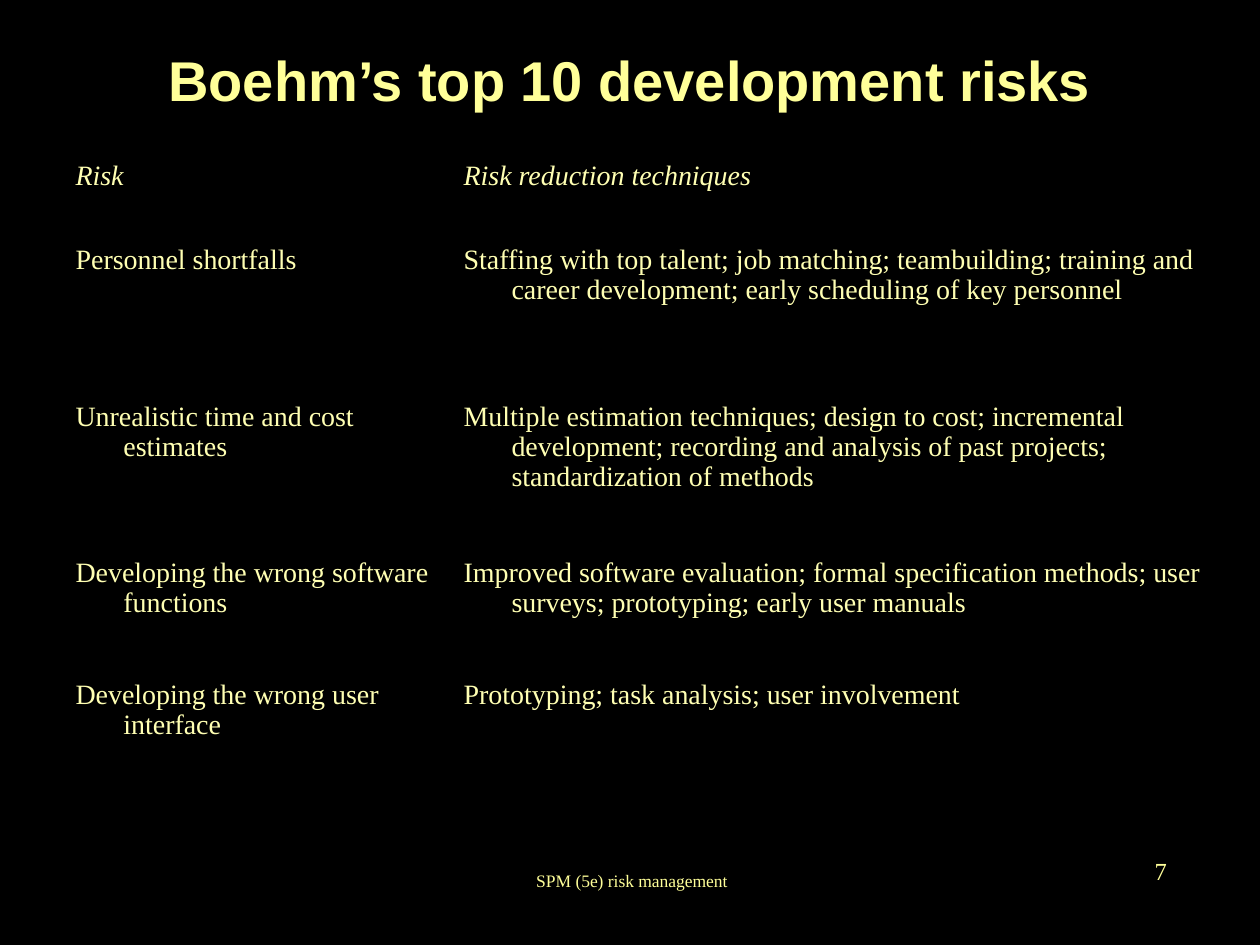
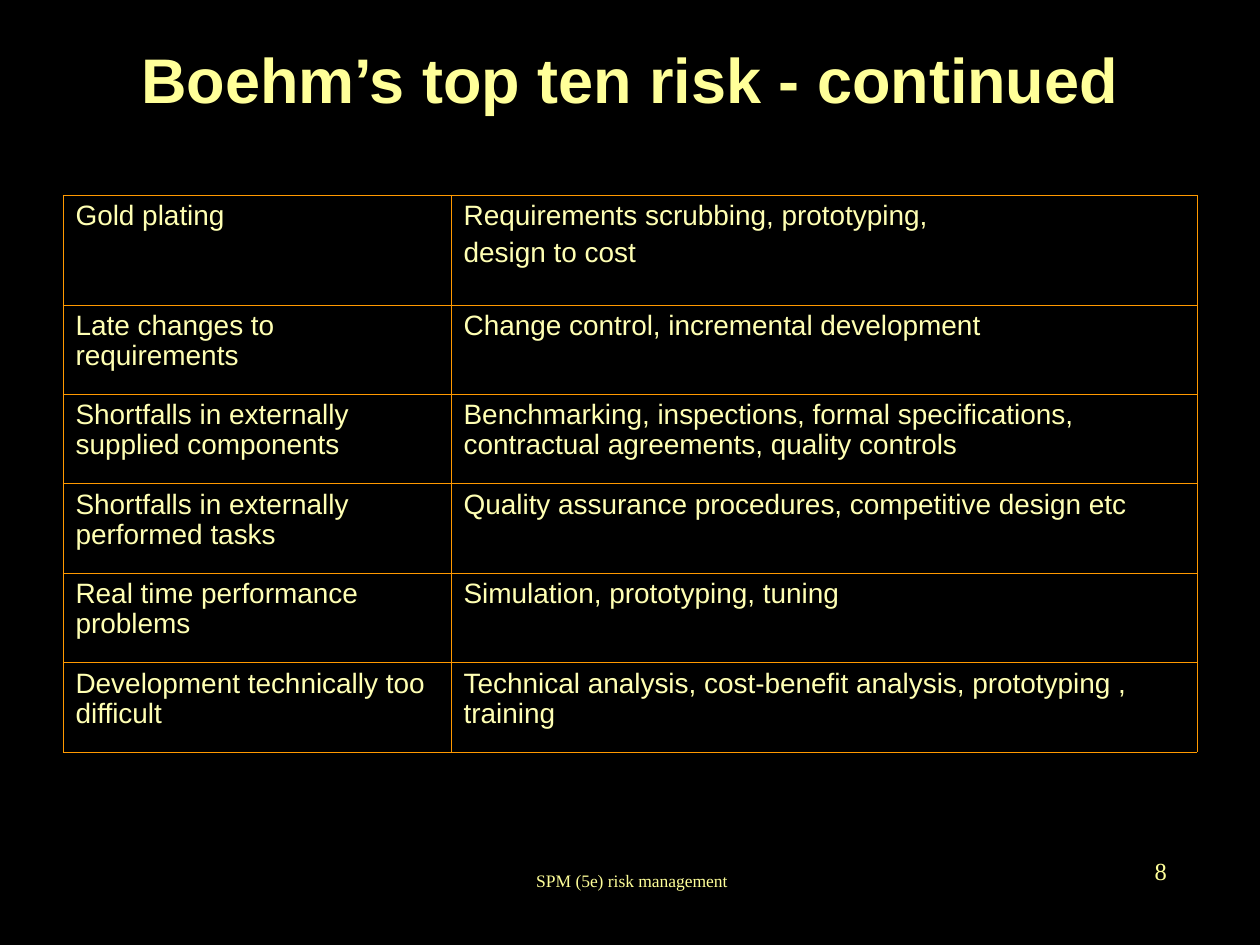
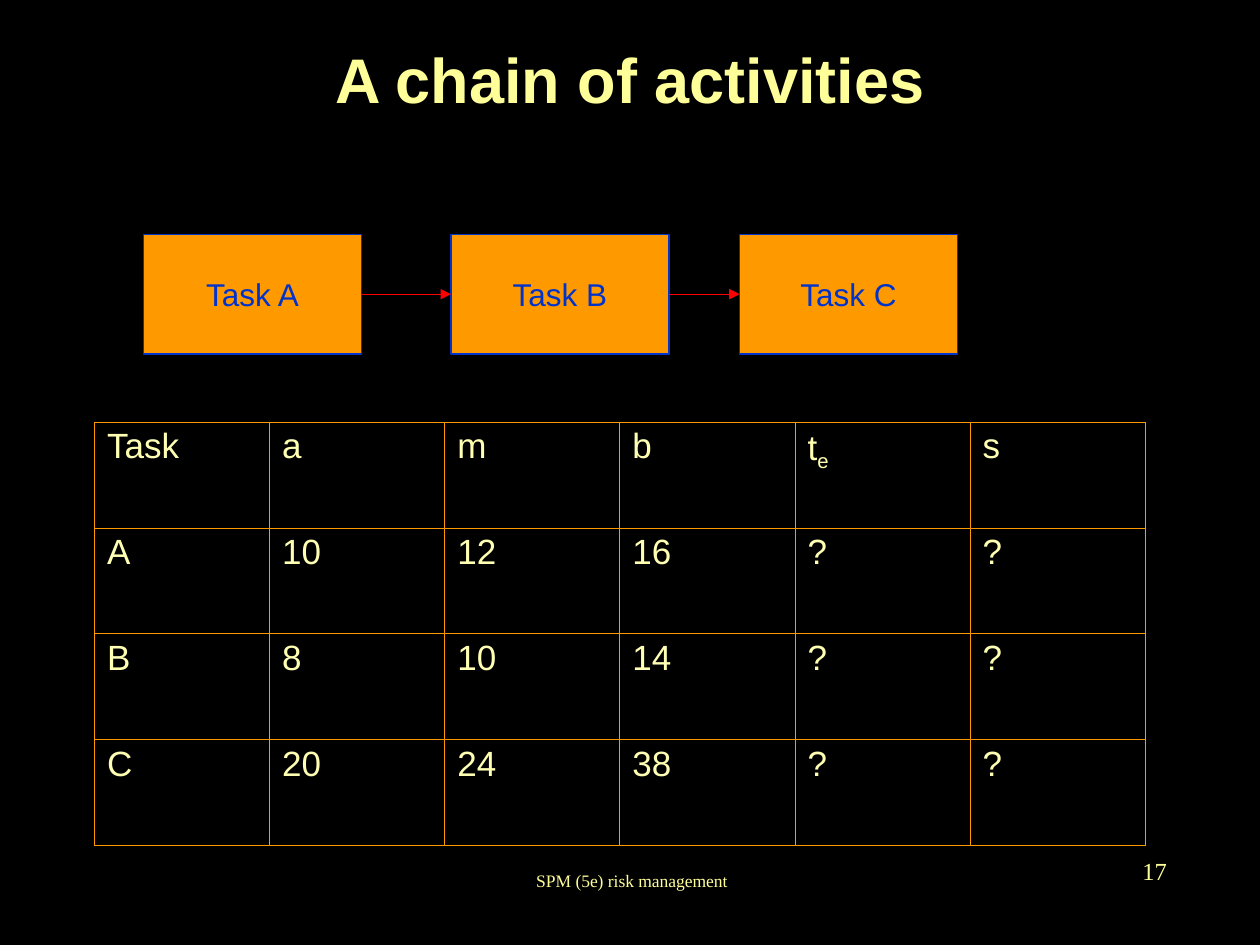
from pptx import Presentation
from pptx.dml.color import RGBColor
from pptx.enum.shapes import MSO_CONNECTOR, MSO_SHAPE
from pptx.enum.text import MSO_ANCHOR, PP_ALIGN
from pptx.oxml.ns import qn
from pptx.util import Inches, Pt
from lxml.etree import SubElement

SANS, SERIF = "Arial", "Times New Roman"
BLACK, ORANGE, BLUE, RED = "000000", "FF9900", "0033CC", "FF0000"
YELLOW, PALE = "FFFF99", "FFFFB3"

RISKS = [
    ("Risk", "Risk reduction techniques"),
    ("Personnel shortfalls",
     "Staffing with top talent; job matching; teambuilding; training and "
     "career development; early scheduling of key personnel"),
    ("Unrealistic time and cost estimates",
     "Multiple estimation techniques; design to cost; incremental development; "
     "recording and analysis of past projects; standardization of methods"),
    ("Developing the wrong software functions",
     "Improved software evaluation; formal specification methods; "
     "user surveys; prototyping; early user manuals"),
    ("Developing the wrong user interface",
     "Prototyping; task analysis; user involvement"),
]
MORE = [
    ("Gold plating", "Requirements scrubbing, prototyping,\ndesign to cost"),
    ("Late changes to requirements", "Change control, incremental development"),
    ("Shortfalls in externally supplied components",
     "Benchmarking, inspections, formal specifications, "
     "contractual agreements, quality controls"),
    ("Shortfalls in externally performed tasks",
     "Quality assurance procedures, competitive design etc"),
    ("Real time performance problems", "Simulation, prototyping, tuning"),
    ("Development technically too difficult",
     "Technical analysis, cost-benefit analysis, prototyping , training"),
]
TIMES = [
    ("Task", "a", "m", "b", ("t", "e"), "s"),
    ("A", "10", "12", "16", "?", "?"),
    ("B", "8", "10", "14", "?", "?"),
    ("C", "20", "24", "38", "?", "?"),
]


def color(code):
    return RGBColor.from_string(code)


def add_run(para, text, size, face, code, bold=False, italic=False):
    run = para.add_run()
    run.text = text
    font = run.font
    font.size, font.name = Pt(size), face
    font.bold, font.italic = bold, italic
    font.color.rgb = color(code)
    return run


def add_label(slide, box, text, size, align):
    frame = slide.shapes.add_textbox(*map(Inches, box)).text_frame
    frame.word_wrap = True
    frame.vertical_anchor = MSO_ANCHOR.MIDDLE
    para = frame.paragraphs[0]
    para.alignment = align
    add_run(para, text, size, SERIF, YELLOW)


def add_page(deck, title, number, size=36):
    """Add a slide with its title, footer and page number."""
    slide = deck.slides.add_slide(deck.slide_layouts[5])
    head = slide.shapes.title
    head.left, head.top, head.width, head.height = map(Inches, (0.75, 0, 8.5, 1.25))
    head.text_frame.vertical_anchor = MSO_ANCHOR.MIDDLE
    para = head.text_frame.paragraphs[0]
    para.alignment = PP_ALIGN.CENTER
    add_run(para, title, size, SANS, YELLOW, bold=True)
    add_label(slide, (3.43, 6.74, 3.17, 0.5), "SPM (5e) risk management", 10,
              PP_ALIGN.CENTER)
    add_label(slide, (7.28, 6.66, 2.08, 0.5), str(number), 14, PP_ALIGN.RIGHT)
    return slide


def set_edges(cell, code):
    props = cell._tc.get_or_add_tcPr()
    for side in ("a:lnL", "a:lnR", "a:lnT", "a:lnB"):
        line = SubElement(props, qn(side), w=str(Pt(0.45)))
        fill = SubElement(line, qn("a:solidFill"))
        SubElement(fill, qn("a:srgbClr"), val=code)


def fill_cell(cell, text, size, face, before, hang, italic):
    """Write text by lines; a pair is a base and its subscript."""
    base, sub = (text, "") if isinstance(text, str) else text
    frame = cell.text_frame
    for i, line in enumerate(base.split("\n")):
        para = frame.add_paragraph() if i else frame.paragraphs[0]
        para.space_before = Pt(before)
        para.line_spacing = 0.97
        if hang:
            props = para._p.get_or_add_pPr()
            props.set("marL", str(Inches(hang)))
            props.set("indent", str(-Inches(hang)))
        add_run(para, line, size, face, PALE, italic=italic)
    if sub:
        run = add_run(para, sub, size, face, PALE)
        run.font._element.set("baseline", "-25000")


def add_grid(slide, left, top, cols, heights, data, size=16, face=SANS,
             edge=ORANGE, before=0, hang=0, header=False):
    """Draw a table; header sets its first row in italics."""
    frame = slide.shapes.add_table(
        len(heights), len(cols), Inches(left), Inches(top),
        Inches(sum(cols)), Inches(sum(heights)))
    table = frame.table
    table.first_row = table.horz_banding = False
    for col, width in zip(table.columns, cols):
        col.width = Inches(width)
    for r, (row, height) in enumerate(zip(table.rows, heights)):
        row.height = Inches(height)
        for cell, text in zip(row.cells, data[r]):
            set_edges(cell, edge)
            cell.fill.background()
            fill_cell(cell, text, size, face, before, hang, header and r == 0)


def add_task(slide, name, left, top):
    box = slide.shapes.add_shape(
        MSO_SHAPE.RECTANGLE, *map(Inches, (left, top, 1.73, 0.95)))
    box.shadow.inherit = False
    box.fill.solid()
    box.fill.fore_color.rgb = color(ORANGE)
    box.line.color.rgb = color(BLUE)
    box.line.width = Pt(0.75)
    frame = box.text_frame
    frame.word_wrap = False
    frame.vertical_anchor = MSO_ANCHOR.MIDDLE
    para = frame.paragraphs[0]
    para.alignment = PP_ALIGN.CENTER
    add_run(para, name, 18, SANS, BLUE)
    return box


def add_arrow(slide, start, end):
    """Join the right side of one box to the left side of the next."""
    arrow = slide.shapes.add_connector(MSO_CONNECTOR.STRAIGHT, 0, 0, 0, 0)
    arrow.begin_connect(start, 3)
    arrow.end_connect(end, 1)
    arrow.line.color.rgb = color(RED)
    arrow.line.width = Pt(0.75)
    SubElement(arrow.line._get_or_add_ln(), qn("a:tailEnd"), type="triangle")
    SubElement(arrow._element.spPr, qn("a:effectLst"))


def add_chain(slide, top, tasks):
    boxes = [add_task(slide, name, left, top) for name, left in tasks]
    for start, end in zip(boxes, boxes[1:]):
        add_arrow(slide, start, end)


def main():
    deck = Presentation()
    deck.slide_width, deck.slide_height = Inches(10), Inches(7.5)
    back = deck.slide_master.background.fill
    back.solid()
    back.fore_color.rgb = color(BLACK)

    slide = add_page(deck, "Boehm’s top 10 development risks", 7, size=32)
    add_grid(slide, 0.5, 1.23, (3.08, 6.14), (0.67, 1.24, 1.24, 0.97, 0.7),
             RISKS, face=SERIF, edge=BLACK, hang=0.38, header=True)

    slide = add_page(deck, "Boehm’s top ten risk - continued", 8)
    add_grid(slide, 0.5, 1.55, (3.08, 5.92), [0.87] + [0.71] * 5, MORE, before=4)

    slide = add_page(deck, "A chain of activities", 17)
    add_chain(slide, 1.86, [("Task A", 1.14), ("Task B", 3.58), ("Task C", 5.87)])
    add_grid(slide, 0.75, 3.35, [1.39] * 6, [0.84] * 4, TIMES, size=20, before=5)

    deck.save("out.pptx")


if __name__ == "__main__":
    main()
